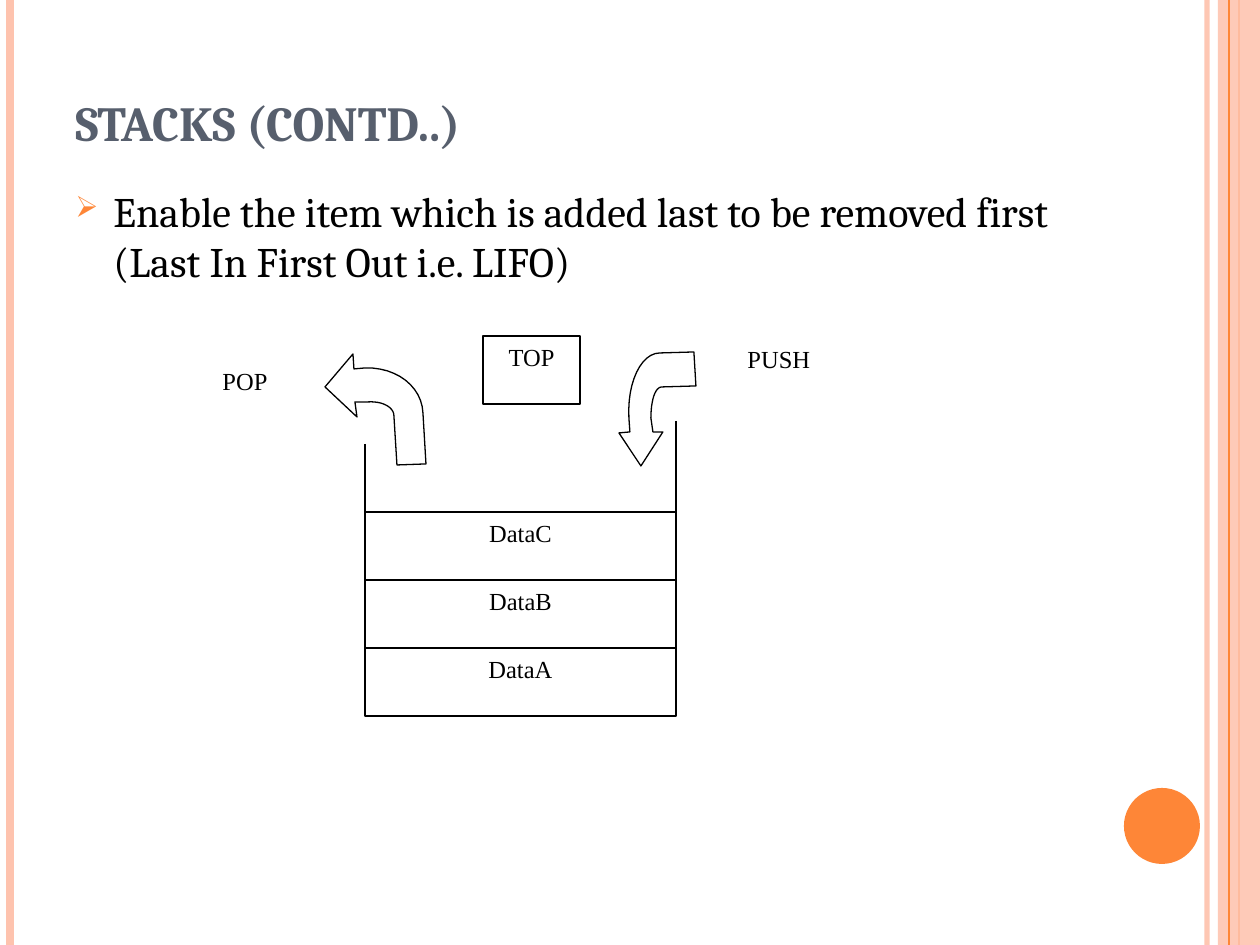
from lxml.etree import SubElement
from pptx import Presentation
from pptx.dml.color import RGBColor
from pptx.enum.shapes import MSO_CONNECTOR as Conn, MSO_SHAPE as Preset
from pptx.enum.text import MSO_ANCHOR as Anchor, PP_ALIGN as Align
from pptx.oxml.ns import qn
from pptx.util import Emu, Pt

EMU_PER_PX = 914400 / 126
WIDTH, HEIGHT = 1260, 945
COLORS = {"peach": "FEC3AE", "orange": "FE8637", "slate": "575F6D",
          "ink": "000000", "paper": "FFFFFF"}
HEADING = {"name": "Cambria", "size": Pt(28), "bold": True}
BODY = {"name": "Cambria", "size": Pt(24)}
LABEL = {"name": "Times New Roman", "size": Pt(14)}

# Arrow outlines: pairs are corners, six numbers are a Bezier curve
POP_ARROW = [(115, 51), (143, 18), (144, 33), (155, 32),
             (187, 31, 212, 51, 213, 77), (216, 128), (187, 129), (184, 80),
             (184, 71, 172, 65, 158, 66), (145, 66), (147, 81)]
PUSH_ARROW = [(431, 130), (409, 97), (420, 96), (419, 82),
              (417, 47, 431, 17, 450, 17), (484, 16), (486, 50), (452, 51),
              (445, 51, 441, 65, 441, 82), (443, 96), (453, 96)]


def px(*lengths):
    return [Emu(round(length * EMU_PER_PX)) for length in lengths]


def rgb(color):
    return RGBColor.from_string(COLORS[color])


def apply_format(target, values):
    for name, value in values.items():
        setattr(target, name, value)


def set_alpha(part, percent):
    for tint in part._element.spPr.iter(qn("a:srgbClr")):
        SubElement(tint, qn("a:alpha"), val=str(percent * 1000))


def paint(shape, fill, outline=None):
    shape.shadow.inherit = False
    shape.fill.solid()
    shape.fill.fore_color.rgb = rgb(fill)
    if outline:
        shape.line.color.rgb = rgb(outline)
        shape.line.width = Pt(0.75)
    else:
        shape.line.fill.background()


def add_line(slide, x, top, bottom, color="ink", width=0.75):
    (left, start, end) = px(x, top, bottom)
    line = slide.shapes.add_connector(Conn.STRAIGHT, left, start, left, end)
    line.line.color.rgb = rgb(color)
    line.line.width = Pt(width)
    SubElement(line._element.spPr, qn("a:effectLst"))
    return line


def write(shape, text, font, color="ink", align=Align.LEFT, anchor=Anchor.TOP):
    apply_format(shape.text_frame, {"word_wrap": True, "vertical_anchor": anchor})
    paragraph = shape.text_frame.paragraphs[0]
    paragraph.alignment = align
    run = paragraph.add_run()
    run.text = text
    apply_format(run.font, font)
    run.font.color.rgb = rgb(color)
    return paragraph


def add_text(slide, box, text, font, **options):
    return write(slide.shapes.add_textbox(*px(*box)), text, font, **options)


def add_cell(slide, box, text):
    cell = slide.shapes.add_shape(Preset.RECTANGLE, *px(*box))
    paint(cell, "paper", "ink")
    write(cell, text, LABEL, align=Align.CENTER)


def add_bullet(paragraph, indent):
    props = paragraph._p.get_or_add_pPr()
    props.set("marL", str(indent))
    props.set("indent", str(-indent))
    tint = SubElement(props, qn("a:buClr"))
    SubElement(tint, qn("a:srgbClr"), val=COLORS["orange"])
    SubElement(props, qn("a:buSzPct"), val="70000")
    SubElement(props, qn("a:buChar"), char="➢")


def trace(outline, steps=12):
    """Turn corners and Bezier curves into a list of points."""
    points = []
    for part in outline:
        if len(part) == 2:
            points.append(part)
            continue
        (x0, y0), (x1, y1, x2, y2, x3, y3) = points[-1], part
        for step in range(1, steps + 1):
            t = step / steps
            u = 1 - t
            a, b, c, d = u ** 3, 3 * u * u * t, 3 * u * t * t, t ** 3
            points.append((a * x0 + b * x1 + c * x2 + d * x3,
                           a * y0 + b * y1 + c * y2 + d * y3))
    return points


def add_bent_arrow(slide, left, top, outline):
    start, *rest = [px(left + x, top + y) for x, y in trace(outline)]
    builder = slide.shapes.build_freeform(*start)
    builder.add_line_segments(rest, close=True)
    paint(builder.convert_to_shape(), "paper", "ink")


def draw_frame(slide, left, top, width, height):
    right, bottom = left + width, top + height
    # Stripes along both edges
    set_alpha(add_line(slide, right - 53, top, bottom, "peach", 3), 93)
    add_line(slide, left + 10, top, bottom, "peach", 4.5)
    add_line(slide, right - 21, top, bottom, "orange", 1.5)
    band = slide.shapes.add_shape(Preset.RECTANGLE, *px(right - 42, top, 42, height))
    paint(band, "peach")
    set_alpha(band, 87)
    add_line(slide, right - 31, top, bottom, "orange")
    # Corner disc
    disc = slide.shapes.add_shape(Preset.OVAL, *px(right - 136, bottom - 157, 76, 76))
    paint(disc, "orange")


def draw_content(slide, left, top, width):
    add_text(slide, (left, top, width, 120), "STACKS (CONTD..)", HEADING,
             color="slate", anchor=Anchor.BOTTOM)
    point = add_text(slide, (left, top + 141, width, 713),
                     "Enable the item which is added last to be removed first "
                     "(Last In First Out i.e. LIFO)", BODY)
    point.space_before = Pt(6)
    add_bullet(point, px(38)[0])


def draw_stack(slide, left, top):
    stack_left, stack_top, stack_width, row = left + 155, top + 176, 311, 68
    # Stacked items
    for i, item in enumerate(["DataC", "DataB", "DataA"]):
        add_cell(slide, (stack_left, stack_top + i * row, stack_width, row), item)
    # Open walls
    add_line(slide, stack_left + stack_width, top + 85, top + 198)
    add_line(slide, stack_left, top + 108, stack_top)
    # Arrows out of and into the stack
    for outline in (POP_ARROW, PUSH_ARROW):
        add_bent_arrow(slide, left, top, outline)
    # Labels
    add_cell(slide, (left + 273, top, 97, row), "TOP")
    add_text(slide, (left + 525, top + 2, 117, row), "PUSH", LABEL)
    add_text(slide, (left, top + 24, 117, row), "POP", LABEL)


def main():
    deck = Presentation()
    deck.slide_width, deck.slide_height = px(WIDTH, HEIGHT)
    slide = deck.slides.add_slide(deck.slide_layouts[6])
    draw_frame(slide, 0, 0, WIDTH, HEIGHT)
    draw_content(slide, 63, 38, 1029)
    draw_stack(slide, 210, 336)
    deck.save("out.pptx")


if __name__ == "__main__":
    main()
